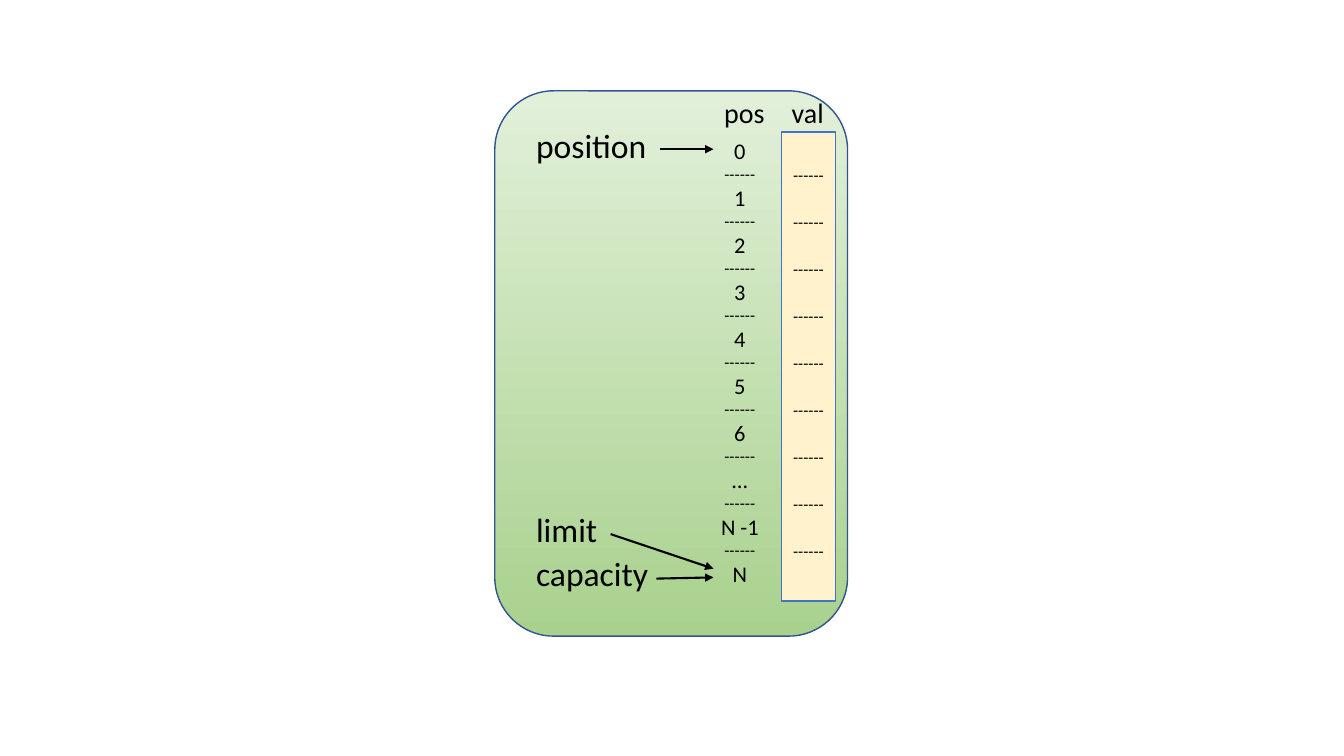
from lxml import etree
from pptx import Presentation
from pptx import util as u
from pptx.dml.color import RGBColor
from pptx.enum import shapes, text
from pptx.oxml.ns import qn

COLORS = {
    "panel_top": "E2F0D9",
    "panel_bottom": "A9D18E",
    "panel_line": "325491",
    "cells": "FFF2CC",
    "cells_line": "4472C4",
    "ink": "000000",
}
rgb = {name: RGBColor.from_string(value) for name, value in COLORS.items()}
DASHES = "------"


def write(tf, lines, align, space_after=0):
    tf.word_wrap = False
    tf.vertical_anchor = text.MSO_ANCHOR.TOP
    tf.text = "\n".join(line for line, size in lines)
    for p, (line, size) in zip(tf.paragraphs, lines):
        p.alignment = align
        p.space_after = u.Pt(space_after)
        for r in p.runs:
            r.font.name = "Calibri"
            r.font.size = u.Pt(size)
            r.font.color.rgb = rgb["ink"]


prs = Presentation()
prs.slide_width, prs.slide_height = u.Cm(33.87), u.Cm(19.05)
s = prs.slides.add_slide(prs.slide_layouts[6])

panel = s.shapes.add_shape(
    shapes.MSO_SHAPE.ROUNDED_RECTANGLE, u.Cm(12.47), u.Cm(2.29), u.Cm(8.89), u.Cm(13.74)
)
panel.shadow.inherit = False
panel.fill.gradient()
panel.fill.gradient_angle = 270
for stop, name in zip(panel.fill.gradient_stops, ("panel_top", "panel_bottom")):
    stop.color.rgb = rgb[name]
panel.line.color.rgb = rgb["panel_line"]
panel.line.width = u.Pt(1)

indexes = [*map(str, range(7)), "…", "N -1", "N"]
index_lines = [(indexes[0], 16)]
for index in indexes[1:]:
    index_lines += [(DASHES, 12), (index, 16)]
positions = s.shapes.add_textbox(u.Cm(17.91), u.Cm(3.33), u.Cm(1.47), u.Cm(11.71))
write(positions.text_frame, index_lines, text.PP_ALIGN.CENTER)

values = s.shapes.add_shape(
    shapes.MSO_SHAPE.RECTANGLE, u.Cm(19.7), u.Cm(3.33), u.Cm(1.35), u.Cm(11.82)
)
values.shadow.inherit = False
values.fill.solid()
values.fill.fore_color.rgb = rgb["cells"]
values.line.color.rgb = rgb["cells_line"]
values.line.width = u.Pt(1)
values.text_frame.margin_top = u.Cm(0.81)
write(values.text_frame, [(DASHES, 12)] * (len(indexes) - 1), text.PP_ALIGN.CENTER, 19.2)

for label, size, left, top, width in [
    ("position", 24, 13.26, 3.02, 3.58),
    ("limit", 24, 13.26, 12.7, 2.29),
    ("capacity", 24, 13.26, 13.82, 3.66),
    ("pos", 20, 18.0, 2.29, 1.6),
    ("val", 20, 19.7, 2.29, 1.4),
]:
    sp = s.shapes.add_textbox(u.Cm(left), u.Cm(top), u.Cm(width), u.Cm(size * 0.053))
    write(sp.text_frame, [(label, size)], text.PP_ALIGN.LEFT)

ARROW_TIP = 17.98
for x, y, tip_y in [(16.64, 3.76, 3.76), (15.39, 13.46, 14.33), (16.54, 14.58, 14.55)]:
    arrow = s.shapes.add_connector(
        shapes.MSO_CONNECTOR.STRAIGHT, u.Cm(x), u.Cm(y), u.Cm(ARROW_TIP), u.Cm(tip_y)
    )
    arrow.line.color.rgb = rgb["ink"]
    arrow.line.width = u.Pt(1.5)
    etree.SubElement(arrow.line._get_or_add_ln(), qn("a:tailEnd"), type="triangle")
    etree.SubElement(arrow._element.spPr, qn("a:effectLst"))

prs.save("out.pptx")
